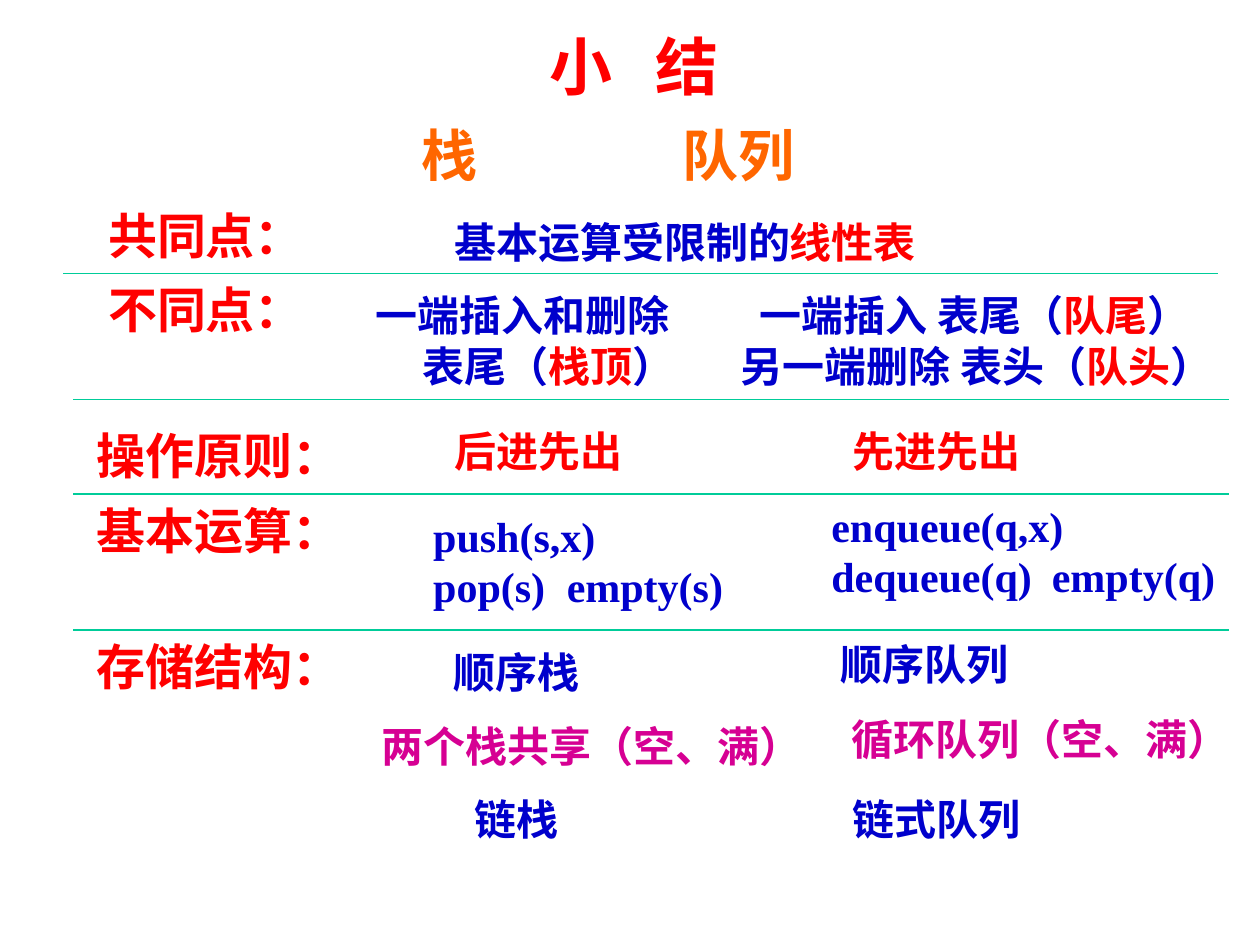
"""Build a summary slide comparing stacks and queues."""
from lxml import etree
from pptx import Presentation
from pptx.dml.color import RGBColor
from pptx.enum import shapes, text
from pptx.oxml.ns import qn
from pptx.util import Inches, Pt

RED, BLUE, PINK, ORANGE, GREEN = "FF0000", "0000CC", "D60093", "FF6600", "00CC99"
SANS, SERIF = "Noto Sans CJK SC", "Times New Roman"

HEADS = [
    ("小\t结", 4.26, 0.17, 1.95, dict(size=36, color=RED, tab=0.84)),
    ("栈\t队列", 3.25, 0.91, 5.09, dict(size=32, color=ORANGE, tab=2.07)),
]
LABELS = [
    ("共同点：", 0.76, 1.58, 1.8),
    ("不同点：", 0.76, 2.17, 1.8),
    ("操作原则：", 0.67, 3.33, 2.2),
    ("基本运算：", 0.67, 3.92, 2.2),
    ("存储结构：", 0.67, 5, 2.2),
]
STACK = ["一端插入和删除", [("表尾（", BLUE), ("栈顶", RED), ("）", BLUE)]]
QUEUE = [
    [("一端插入 表尾（", BLUE), ("队尾", RED), ("）", BLUE)],
    [("另一端删除 表头（", BLUE), ("队头", RED), ("）", BLUE)],
]
CELLS = [
    ("线性表", 6.17, 1.67, 1.25, dict(color=RED)),
    ("基本运算受限制的", 3.51, 1.67, 2.92, {}),
    (STACK, 2.63, 2.25, 3.03, dict(align=text.PP_ALIGN.CENTER, pads=(0, 0.42))),
    (QUEUE, 5.78, 2.25, 4.1, dict(font=SANS, pads=(0.15, 0))),
    ("后进先出", 3.51, 3.33, 1.58, dict(color=RED)),
    ("先进先出", 6.67, 3.33, 1.58, dict(color=RED)),
    (["push(s,x)", "pop(s)\tempty(s)"], 3.34, 4, 2.6, dict(tab=1.06)),
    (["enqueue(q,x)", "dequeue(q)\tempty(q)"], 6.5, 3.92, 3.4, dict(tab=1.75)),
    ("顺序栈", 3.5, 5.08, 1.25, {}),
    ("链栈", 3.67, 6.25, 0.92, {}),
    ("顺序队列", 6.57, 5.02, 1.58, {}),
    ("循环队列（空、满）", 6.66, 5.61, 3.25, dict(color=PINK)),
    ("链式队列", 6.67, 6.25, 1.58, {}),
    ("两个栈共享（空、满）", 2.93, 5.67, 3.6, dict(color=PINK)),
]
RULES = [(0.5, 2.17), (0.58, 3.17), (0.58, 3.92), (0.58, 5)]
SPAN = 9.17


def rgb(code):
    """Turn a hex string into a colour."""
    return RGBColor.from_string(code)


def write(slide, lines, left, top, width, size=24, color=BLUE, font=SERIF,
          align=text.PP_ALIGN.LEFT, tab=None, pads=(0, 0)):
    """Add a bold text box of one or more lines."""
    lines = [lines] if isinstance(lines, str) else lines
    high = 0.1 + len(lines) * size / 60
    box = slide.shapes.add_textbox(*map(Inches, (left, top, width, high)))
    frame = box.text_frame
    frame.word_wrap = True
    frame.auto_size = text.MSO_AUTO_SIZE.SHAPE_TO_FIT_TEXT
    for i, (line, pad) in enumerate(zip(lines, pads)):
        para = frame.paragraphs[0] if i == 0 else frame.add_paragraph()
        para.alignment = align
        props = para._p.get_or_add_pPr()
        if pad:
            props.set("marL", str(Inches(pad)))
            props.set("indent", "0")
        if tab:
            stops = etree.SubElement(props, qn("a:tabLst"))
            etree.SubElement(stops, qn("a:tab"), pos=str(Inches(tab)), algn="l")
        for words, tint in [(line, color)] if isinstance(line, str) else line:
            run = para.add_run()
            run.text = words
            run.font.name, run.font.size, run.font.bold = font, Pt(size), True
            run.font.color.rgb = rgb(tint)
            etree.SubElement(run._r.rPr, qn("a:ea"), typeface=SANS)
    return box


def rule(slide, left, top):
    """Draw a thin line under a row."""
    ends = map(Inches, (left, top, left + SPAN, top))
    line = slide.shapes.add_connector(shapes.MSO_CONNECTOR.STRAIGHT, *ends)
    line.line.color.rgb, line.line.width = rgb(GREEN), Pt(0.75)
    etree.SubElement(line._element.spPr, qn("a:effectLst"))


def main():
    """Build and save the slide."""
    deck = Presentation()
    deck.slide_width, deck.slide_height = Inches(10), Inches(7.5)
    slide = deck.slides.add_slide(deck.slide_layouts[6])
    for words, left, top, width, form in HEADS:
        write(slide, words, left, top, width, font=SANS, **form)
    for words, left, top, width in LABELS:
        write(slide, words, left, top, width, size=28, color=RED)
    for words, left, top, width, form in CELLS:
        write(slide, words, left, top, width, **form)
    for left, top in RULES:
        rule(slide, left, top)
    deck.save("out.pptx")


if __name__ == "__main__":
    main()
